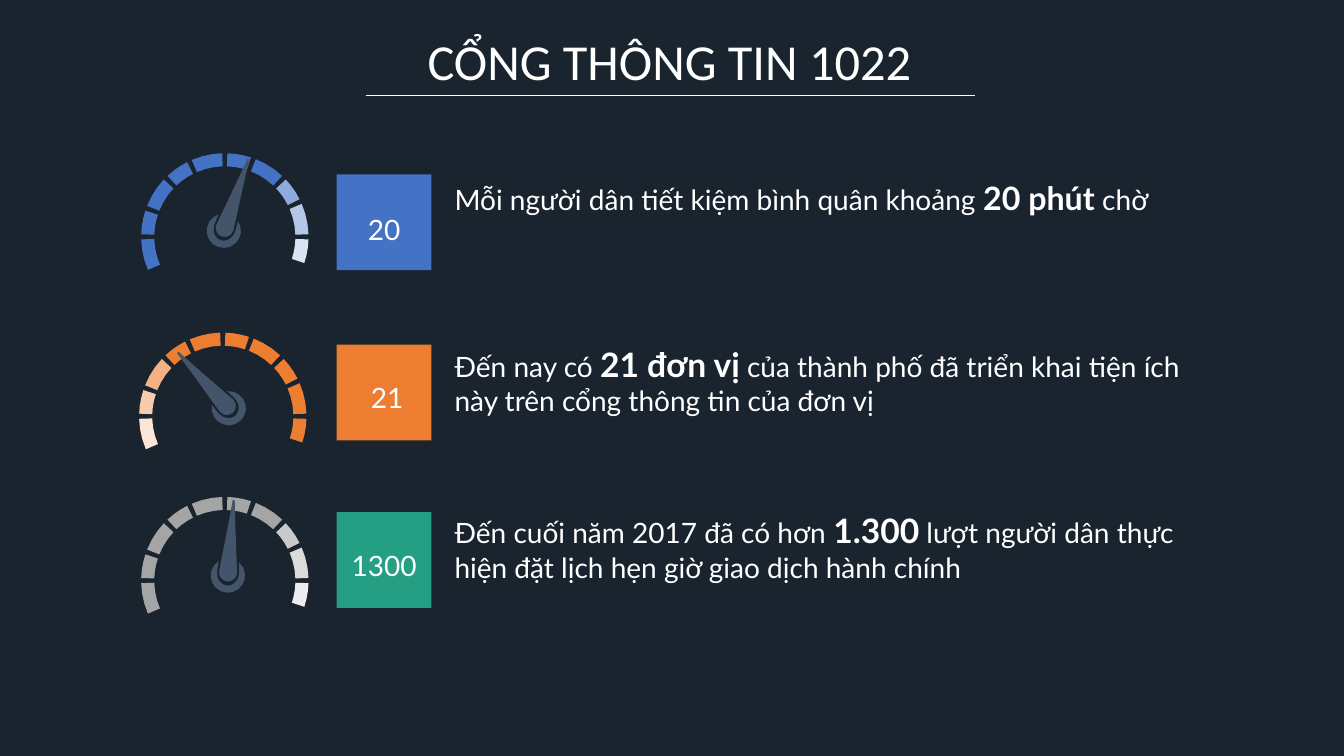
import math

import pptx
import pptx.dml.color
import pptx.enum.shapes
import pptx.enum.text
import pptx.oxml.ns
import pptx.util

Inches = pptx.util.Inches
Pt = pptx.util.Pt

COLORS = {
    "background": "19242F", "white": "FFFFFF", "needle": "44546A",
    "blue": "4472C4", "blue_mid": "8FAADC", "blue_light": "B4C7E7", "blue_pale": "DAE3F3",
    "orange": "ED7D31", "orange_mid": "F4B183", "orange_light": "F8CBAD", "orange_pale": "FBE5D6",
    "gray": "A5A5A5", "gray_mid": "C9C9C9", "gray_light": "DBDBDB", "gray_pale": "EDEDED",
    "green": "249F83",
}

# Dial angles are degrees clockwise from straight up.
DIAL_MARKS = [-115, -90, -70, -45, -25, 0, 20, 45, 65, 90, 110]
DIAL_GAP = 3.5
DIAL_OUTER = 0.83
DIAL_INNER = 0.7

# Boxes are left, top, width, height in inches; a hub is relative to its gauge box.
ROWS = [
    {
        "gauge": (1.4, 1.52), "hub": (0.82, 0.77), "angle": 19,
        "segments": ["blue"] * 7 + ["blue_mid", "blue_light", "blue_pale"],
        "tile": (3.34, 1.73, 0.94, 0.95), "tile_color": "blue",
        "number": "20", "number_box": (3.36, 1.96, 0.9, 0.67),
        "message_box": (4.41, 1.72, 7.57, 0.49), "strong_size": 23,
        "message": ("Mỗi người dân tiết kiệm bình quân khoảng ", "20 phút", " chờ"),
    },
    {
        "gauge": (1.38, 3.3), "hub": (0.89, 0.75), "angle": -42.5,
        "segments": ["orange_pale", "orange_light", "orange_mid"] + ["orange"] * 7,
        "tile": (3.34, 3.42, 0.94, 0.95), "tile_color": "orange",
        "number": "21", "number_box": (3.39, 3.63, 0.9, 0.67),
        "message_box": (4.41, 3.36, 7.57, 0.84), "strong_size": 24,
        "message": ("Đến nay có ", "21 đơn vị",
                    " của thành phố đã triển khai tiện ích này trên cổng thông tin của đơn vị"),
    },
    {
        "gauge": (1.4, 4.93), "hub": (0.86, 0.78), "angle": 4.5,
        "segments": ["gray"] * 7 + ["gray_mid", "gray_light", "gray_pale"],
        "tile": (3.34, 5.08, 0.94, 0.95), "tile_color": "green",
        "number": "1300", "number_box": (3.36, 5.29, 0.9, 0.67),
        "message_box": (4.41, 5.01, 7.57, 0.84), "strong_size": 24,
        "message": ("Đến cuối năm 2017 đã có hơn ", "1.300",
                    " lượt người dân thực hiện đặt lịch hẹn giờ giao dịch hành chính"),
    },
]


def color(name):
    return pptx.dml.color.RGBColor.from_string(COLORS[name])


def add_span(para, text, size=20, font="Lato", bold=False, fill="white"):
    span = para.add_run()
    span.text = text
    span.font.size = Pt(size)
    span.font.name = font
    span.font.bold = bold
    span.font.color.rgb = color(fill)


def add_text_box(page, box):
    """Add a wrapping text box and give back its first paragraph."""
    frame = page.shapes.add_textbox(*map(Inches, box)).text_frame
    frame.word_wrap = True
    return frame.paragraphs[0]


def paint(shape, fill):
    shape.fill.solid()
    shape.fill.fore_color.rgb = color(fill)
    shape.line.fill.background()
    shape.shadow.inherit = False


def add_outline(group, points, fill):
    builder = group.shapes.build_freeform(*map(Inches, points[0]), scale=1.0)
    builder.add_line_segments([tuple(map(Inches, point)) for point in points[1:]], close=True)
    paint(builder.convert_to_shape(), fill)


def arc(center, radii, start, end, steps):
    """Points on an ellipse between two dial angles."""
    angles = [math.radians(start + (end - start) * step / steps) for step in range(steps + 1)]
    return [(center[0] + radii[0] * math.sin(angle), center[1] - radii[1] * math.cos(angle))
            for angle in angles]


def turn(points, pivot, degrees):
    """Rotate points clockwise about the origin, then move the origin to the pivot."""
    cosine, sine = math.cos(math.radians(degrees)), math.sin(math.radians(degrees))
    return [(pivot[0] + x * cosine - y * sine, pivot[1] + x * sine + y * cosine)
            for x, y in points]


def add_gauge(page, left, top, hub, angle, segments):
    group = page.shapes.add_group_shape()
    center = (left + DIAL_OUTER, top + DIAL_OUTER)
    for start, end, fill in zip(DIAL_MARKS, DIAL_MARKS[1:], segments):
        first, last = start + DIAL_GAP / 2, end - DIAL_GAP / 2
        band = (arc(center, (DIAL_OUTER, DIAL_OUTER), first, last, 3)
                + arc(center, (DIAL_INNER, DIAL_INNER), last, first, 3))
        add_outline(group, band, fill)

    pivot = (left + hub[0], top + hub[1])
    collar = (arc((0, 0), (0.17, 0.17), 37, 323, 14)
              + arc((0, -0.03), (0.11, 0.13), 270, 90, 8))
    needle = ([(-0.04, -0.46), (-0.01, -0.75), (0.01, -0.75), (0.04, -0.46)]
              + arc((0, -0.03), (0.09, 0.09), 90, 270, 6))
    for part in (collar, needle):
        add_outline(group, turn(part, pivot, angle), "needle")


def add_number_tile(page, box, fill, number, number_box):
    tile = page.shapes.add_shape(pptx.enum.shapes.MSO_SHAPE.RECTANGLE, *map(Inches, box))
    paint(tile, fill)
    para = add_text_box(page, number_box)
    para.alignment = pptx.enum.text.PP_ALIGN.CENTER
    para.line_spacing = 1.3
    add_span(para, number)


def add_message(page, box, message, strong_size):
    before, strong, after = message
    para = add_text_box(page, box)
    add_span(para, before)
    add_span(para, strong, size=strong_size, bold=True)
    add_span(para, after)


def add_title(page, box, text):
    title = page.shapes.title
    title.left, title.top, title.width, title.height = map(Inches, box)
    frame = title.text_frame
    frame.word_wrap = False
    frame.auto_size = pptx.enum.text.MSO_AUTO_SIZE.NONE
    frame.vertical_anchor = pptx.enum.text.MSO_ANCHOR.TOP
    para = frame.paragraphs[0]
    para.alignment = pptx.enum.text.PP_ALIGN.LEFT
    add_span(para, text, size=36, font="Calibri")


def add_rule(page, left, top, width):
    rule = page.shapes.add_connector(
        pptx.enum.shapes.MSO_CONNECTOR.STRAIGHT,
        Inches(left), Inches(top), Inches(left + width), Inches(top))
    rule.line.color.rgb = color("white")
    rule.line.width = Pt(0.5)
    properties = rule._element.spPr
    properties.append(properties.makeelement(pptx.oxml.ns.qn("a:effectLst"), {}))


def main():
    deck = pptx.Presentation()
    deck.slide_width, deck.slide_height = Inches(13.33), Inches(7.5)
    page = deck.slides.add_slide(deck.slide_layouts.get_by_name("Title Only"))
    page.background.fill.solid()
    page.background.fill.fore_color.rgb = color("background")

    add_title(page, (4.14, 0.25, 5.05, 0.71), "CỔNG THÔNG TIN 1022")
    add_rule(page, 3.63, 0.95, 6.04)
    for row in ROWS:
        add_gauge(page, *row["gauge"], row["hub"], row["angle"], row["segments"])
        add_number_tile(page, row["tile"], row["tile_color"], row["number"], row["number_box"])
        add_message(page, row["message_box"], row["message"], row["strong_size"])
    deck.save("out.pptx")


if __name__ == "__main__":
    main()
